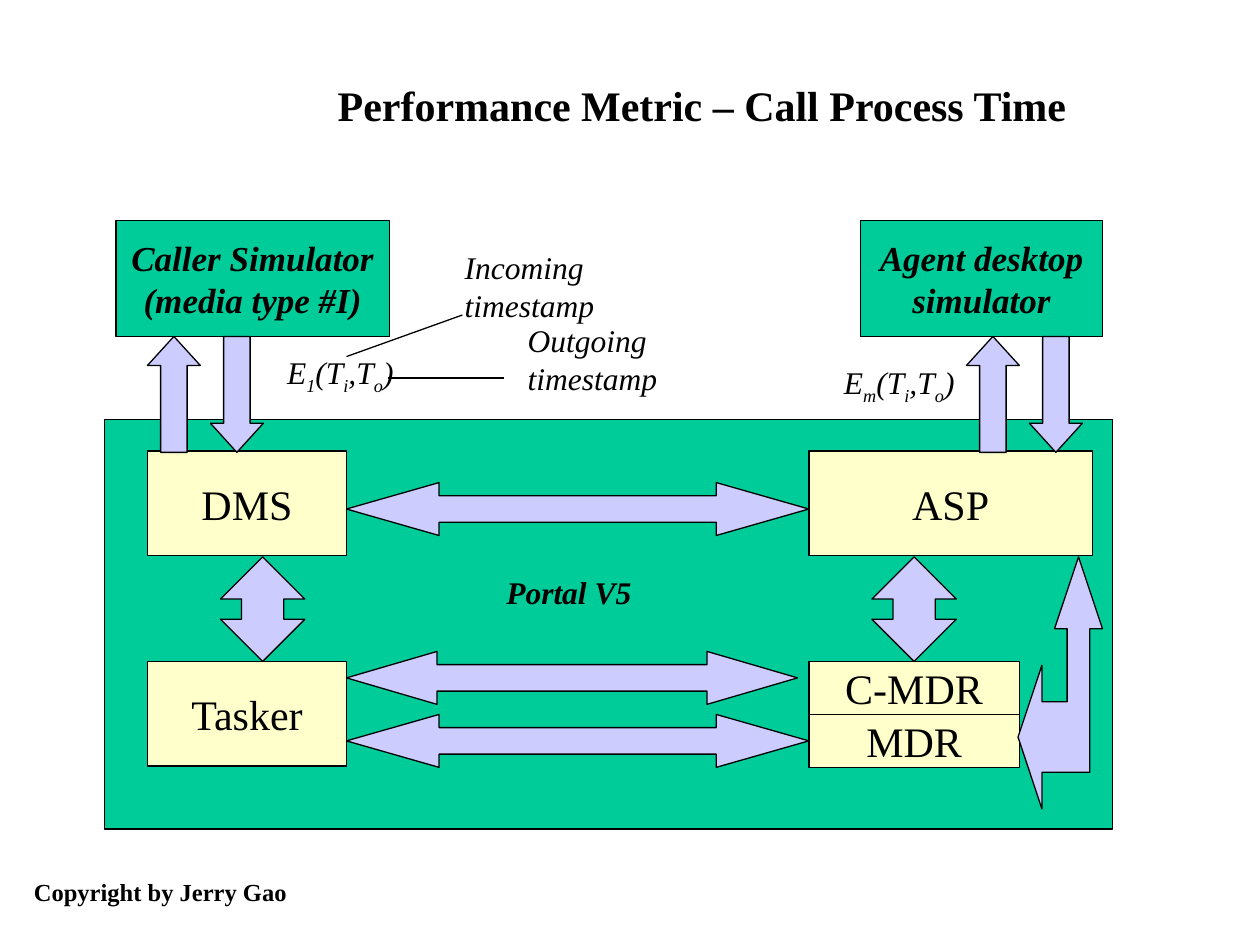
from dataclasses import dataclass, field

from lxml.etree import SubElement
from pptx import Presentation
from pptx.dml.color import RGBColor
from pptx.enum.shapes import MSO_CONNECTOR, MSO_SHAPE
from pptx.enum.text import MSO_ANCHOR, MSO_AUTO_SIZE, PP_ALIGN
from pptx.oxml.ns import qn
from pptx.util import Inches, Pt

GREEN, CREAM, LILAC, BLACK = "00CC99", "FFFFCC", "CCCCFF", "000000"
FACE = "Times New Roman"
BOLD = {"bold": True}
SLANT = {"italic": True}
BOTH = BOLD | SLANT


@dataclass
class Box:
    at: tuple
    fill: str
    text: str = ""
    size: int = 24
    font: dict = field(default_factory=dict)


@dataclass
class Arrow:
    kind: MSO_SHAPE
    at: tuple
    form: tuple


@dataclass
class Label:
    at: tuple
    text: str
    size: int = 18
    font: dict = field(default_factory=lambda: SLANT)
    wrap: bool = False


def color(code: str) -> RGBColor:
    return RGBColor.from_string(code)


def place(at: tuple) -> list:
    return [Inches(n) for n in at]


def paint(shape, fill: str) -> None:
    shape.shadow.inherit = False
    shape.fill.solid()
    shape.fill.fore_color.rgb = color(fill)
    shape.line.color.rgb = color(BLACK)
    shape.line.width = Pt(0.75)


def add_run(para, text: str, size: int, font: dict, low: bool = False) -> None:
    run = para.add_run()
    run.text = text
    for key, val in ({"name": FACE, "size": Pt(size)} | font).items():
        setattr(run.font, key, val)
    run.font.color.rgb = color(BLACK)
    if low:
        run._r.get_or_add_rPr().set("baseline", "-25000")


def write(frame, text: str, size: int, font: dict, align, form: dict) -> None:
    for key, val in form.items():
        setattr(frame, key, val)
    for row, line in enumerate(text.split("\n")):
        para = frame.add_paragraph() if row else frame.paragraphs[0]
        para.alignment = align
        first, *rest = line.split("_")
        add_run(para, first, size, font)
        for part in rest:
            add_run(para, part[0], size, font, low=True)
            add_run(para, part[1:], size, font)


def draw_box(shapes, box: Box) -> None:
    shape = shapes.add_shape(MSO_SHAPE.RECTANGLE, *place(box.at))
    paint(shape, box.fill)
    if box.text:
        form = {"word_wrap": False, "vertical_anchor": MSO_ANCHOR.MIDDLE}
        write(shape.text_frame, box.text, box.size, box.font, PP_ALIGN.CENTER, form)


def draw_arrow(shapes, arrow: Arrow) -> None:
    shape = shapes.add_shape(arrow.kind, *place(arrow.at))
    for rank, val in enumerate(arrow.form):
        shape.adjustments[rank] = val
    paint(shape, LILAC)


def draw_label(shapes, label: Label) -> None:
    frame = shapes.add_textbox(*place(label.at)).text_frame
    form = {"word_wrap": label.wrap, "auto_size": MSO_AUTO_SIZE.SHAPE_TO_FIT_TEXT}
    write(frame, label.text, label.size, label.font, PP_ALIGN.LEFT, form)


def draw_line(shapes, ends: tuple) -> None:
    line = shapes.add_connector(MSO_CONNECTOR.STRAIGHT, *place(ends))
    line.line.color.rgb = color(BLACK)
    line.line.width = Pt(0.75)
    SubElement(line._element.spPr, qn("a:effectLst"))


def draw_bend(shapes, points: list) -> None:
    start, *rest = [(x * 100, y * 100) for x, y in points]
    path = shapes.build_freeform(*start, scale=Inches(1) / 100)
    path.add_line_segments(rest, close=True)
    paint(path.convert_to_shape(), LILAC)


def draw_title(shapes, text: str) -> None:
    title = shapes.title
    spot = zip(("left", "top", "width", "height"), place((2.58, 0.58, 6.42, 0.5)))
    for key, val in spot:
        setattr(title, key, val)
    form = {"word_wrap": True, "vertical_anchor": MSO_ANCHOR.TOP,
            "auto_size": MSO_AUTO_SIZE.NONE}
    write(title.text_frame, text, 24, BOLD, PP_ALIGN.LEFT, form)


BOXES = [
    Box((0.92, 1.75, 2.17, 0.92), GREEN, "Caller Simulator\n(media type #I)", 20, BOTH),
    Box((6.83, 1.75, 1.92, 0.92), GREEN, "Agent desktop\nsimulator", 20, BOTH),
    Box((0.83, 3.33, 8, 3.25), GREEN),
    Box((1.17, 3.58, 1.58, 0.83), CREAM, "DMS"),
    Box((1.17, 5.25, 1.58, 0.83), CREAM, "Tasker"),
    Box((6.42, 3.58, 2.25, 0.83), CREAM, "ASP"),
    Box((6.42, 5.67, 1.67, 0.42), CREAM, "MDR"),
    Box((6.42, 5.25, 1.67, 0.42), CREAM, "C-MDR"),
]

ARROWS = [
    Arrow(kind, (x + gap, 2.67, 0.42, 0.92), (0.5, 0.55))
    for x in (1.17, 7.67)
    for kind, gap in ((MSO_SHAPE.UP_ARROW, 0), (MSO_SHAPE.DOWN_ARROW, 0.5))
] + [
    Arrow(MSO_SHAPE.UP_DOWN_ARROW, (x, 4.42, 0.67, 0.83), (0.25, 0.5))
    for x in (1.75, 6.92)
] + [
    Arrow(MSO_SHAPE.LEFT_RIGHT_ARROW, (2.75, y, wide, 0.42), (0.5, head))
    for y, wide, head in ((5.17, 3.58, 1.71), (5.67, 3.67, 1.75), (3.83, 3.67, 1.75))
]

LABELS = [
    Label((2.18, 2.75, 1.07, 0.44), "E_1(T_i,T_o)"),
    Label((6.6, 2.83, 1.1, 0.44), "E_m(T_i,T_o)"),
    Label((3.59, 1.92, 1.23, 0.7), "Incoming\ntimestamp"),
    Label((4.09, 2.5, 1.23, 0.7), "Outgoing\ntimestamp"),
    Label((3.92, 4.5, 1.25, 0.4), "Portal V5", 18, BOTH, True),
    Label((0.17, 6.91, 2.21, 0.34), "Copyright by Jerry Gao", 14, BOLD),
]

LINES = [(3.08, 3, 4, 3), (3.67, 2.5, 2.75, 2.83)]

BEND = [(8.08, 5.85), (8.27, 5.28), (8.27, 5.57), (8.47, 5.57), (8.47, 4.99),
        (8.37, 4.99), (8.56, 4.42), (8.75, 4.99), (8.65, 4.99), (8.65, 6.13),
        (8.27, 6.13), (8.27, 6.42)]


def main() -> None:
    deck = Presentation()
    deck.slide_width, deck.slide_height = Inches(10), Inches(7.5)
    shapes = deck.slides.add_slide(deck.slide_layouts[5]).shapes
    draw_title(shapes, "Performance Metric – Call Process Time")
    for draw, items in ((draw_box, BOXES), (draw_arrow, ARROWS), (draw_bend, [BEND]),
                        (draw_line, LINES), (draw_label, LABELS)):
        for item in items:
            draw(shapes, item)
    deck.save("out.pptx")


if __name__ == "__main__":
    main()
